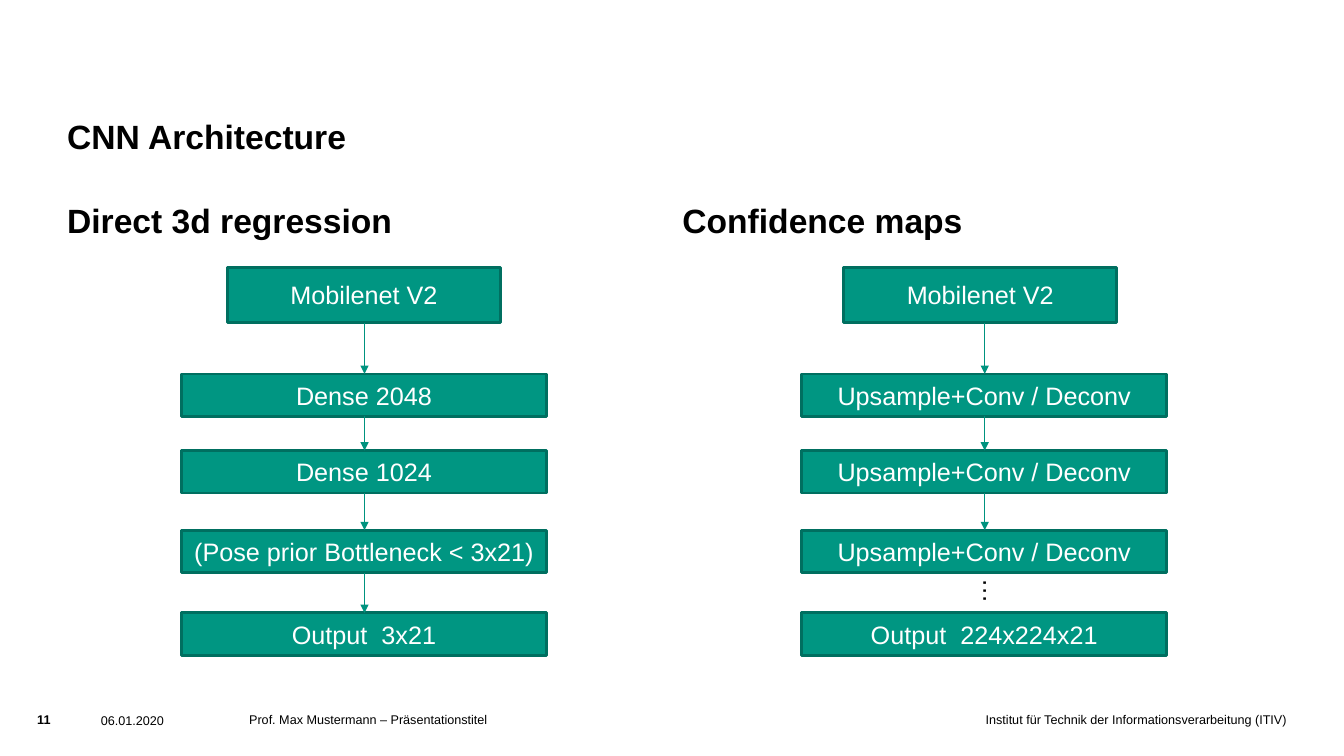
from dataclasses import dataclass

from lxml.etree import SubElement
from pptx import Presentation
from pptx.dml.color import RGBColor
from pptx.enum.shapes import MSO_CONNECTOR, MSO_SHAPE
from pptx.enum.text import MSO_ANCHOR, MSO_AUTO_SIZE, PP_ALIGN
from pptx.oxml.ns import qn
from pptx.util import Pt

# Content
TITLE = "CNN Architecture"
COLUMNS = [
    {
        "heading": "Direct 3d regression",
        "heading_left": 48,
        "center": 260,
        "first_center": 260,
        "layers": ["Mobilenet V2", "Dense 2048", "Dense 1024",
                   "(Pose prior Bottleneck < 3x21)", "Output  3x21"],
        "skipped_layers": None,
    },
    {
        "heading": "Confidence maps",
        "heading_left": 487.5,
        "center": 703,
        "first_center": 700.2,
        "layers": ["Mobilenet V2", "Upsample+Conv / Deconv", "Upsample+Conv / Deconv",
                   "Upsample+Conv / Deconv", "Output  224x224x21"],
        "skipped_layers": "…",
    },
]
# Text, left, top, width, height, bold, alignment
FOOTER = [
    ("11", 26.6, 508.3, 34, 17, True, PP_ALIGN.LEFT),
    ("06.01.2020", 72, 509, 91, 9, False, PP_ALIGN.LEFT),
    ("Prof. Max Mustermann – Präsentationstitel", 178, 508.3, 438, 28, False, PP_ALIGN.LEFT),
    ("Institut für Technik der Informationsverarbeitung (ITIV)", 617, 508.3, 302, 28,
     False, PP_ALIGN.RIGHT),
]
# Top, width and height of each layer row
ROWS = [(190.8, 195, 39.6)] + [(top, 260.6, 30.4) for top in (267.1, 321.8, 378.7, 437.8)]


@dataclass(frozen=True)
class Theme:
    font: str = "Arial"
    text: RGBColor = RGBColor(0, 0, 0)
    light: RGBColor = RGBColor(255, 255, 255)
    fill: RGBColor = RGBColor.from_string("009682")
    border: RGBColor = RGBColor.from_string("006F60")
    arrow: RGBColor = RGBColor.from_string("00937F")
    heading_size: int = 24
    body_size: int = 18
    footer_size: int = 9


theme = Theme()


def write_text(shape, text, *, size, color=theme.text, bold=False, align=PP_ALIGN.LEFT,
               anchor=MSO_ANCHOR.TOP, margin=0, wrap=True):
    frame = shape.text_frame
    frame.auto_size = MSO_AUTO_SIZE.NONE
    frame.word_wrap = wrap
    frame.vertical_anchor = anchor
    frame.margin_left = frame.margin_right = Pt(margin)
    frame.margin_top = frame.margin_bottom = Pt(margin / 2)
    paragraph = frame.paragraphs[0]
    paragraph.alignment = align
    run = paragraph.add_run()
    run.text = text
    run.font.name = theme.font
    run.font.size = Pt(size)
    run.font.bold = bold
    run.font.color.rgb = color


def add_text(slide, text, left, top, width, height, **text_format):
    shape = slide.shapes.add_textbox(Pt(left), Pt(top), Pt(width), Pt(height))
    write_text(shape, text, **text_format)
    return shape


def add_layer(slide, text, center, top, width, height):
    shape = slide.shapes.add_shape(MSO_SHAPE.RECTANGLE, Pt(center - width / 2), Pt(top),
                                   Pt(width), Pt(height))
    shape.shadow.inherit = False
    shape.fill.solid()
    shape.fill.fore_color.rgb = theme.fill
    shape.line.color.rgb = theme.border
    shape.line.width = Pt(2)
    write_text(shape, text, size=theme.body_size, color=theme.light, align=PP_ALIGN.CENTER,
               anchor=MSO_ANCHOR.MIDDLE, margin=7.2)


def add_arrow(slide, x, start, end):
    connector = slide.shapes.add_connector(MSO_CONNECTOR.STRAIGHT, Pt(x), Pt(start),
                                           Pt(x), Pt(end))
    connector.line.color.rgb = theme.arrow
    connector.line.width = Pt(0.75)
    properties = connector.element.spPr
    SubElement(properties.find(qn("a:ln")), qn("a:tailEnd"), type="triangle")
    SubElement(properties, qn("a:effectLst"))


def add_column(slide, column):
    center = column["center"]
    add_text(slide, column["heading"], column["heading_left"], 121, 424, 50.4,
             size=theme.heading_size, bold=True, anchor=MSO_ANCHOR.BOTTOM)

    # Layer boxes
    centers = [column["first_center"]] + [center] * (len(ROWS) - 1)
    for text, box_center, row in zip(column["layers"], centers, ROWS):
        add_layer(slide, text, box_center, *row)

    # Arrows between rows; an ellipsis replaces the last one where layers are skipped
    gaps = [(top + height, below[0]) for (top, _, height), below in zip(ROWS, ROWS[1:])]
    if column["skipped_layers"]:
        gaps.pop()
        dots = add_text(slide, column["skipped_layers"], center - 9.6, 408.2, 32.4, 28.8,
                        size=theme.body_size, margin=7.2, wrap=False)
        dots.rotation = 90
    for start, end in gaps:
        add_arrow(slide, center + 0.4, start, end)


def main():
    presentation = Presentation()
    presentation.slide_width, presentation.slide_height = Pt(960), Pt(540)
    slide = presentation.slides.add_slide(presentation.slide_layouts[5])

    # Title
    title = slide.shapes.title
    title.left, title.top, title.width, title.height = Pt(48), Pt(21.6), Pt(864), Pt(90)
    write_text(title, TITLE, size=theme.heading_size, bold=True, anchor=MSO_ANCHOR.BOTTOM)

    # Network columns
    for column in COLUMNS:
        add_column(slide, column)

    # Footer
    for text, left, top, width, height, bold, align in FOOTER:
        add_text(slide, text, left, top, width, height, size=theme.footer_size,
                 bold=bold, align=align)

    presentation.save("out.pptx")


if __name__ == "__main__":
    main()
